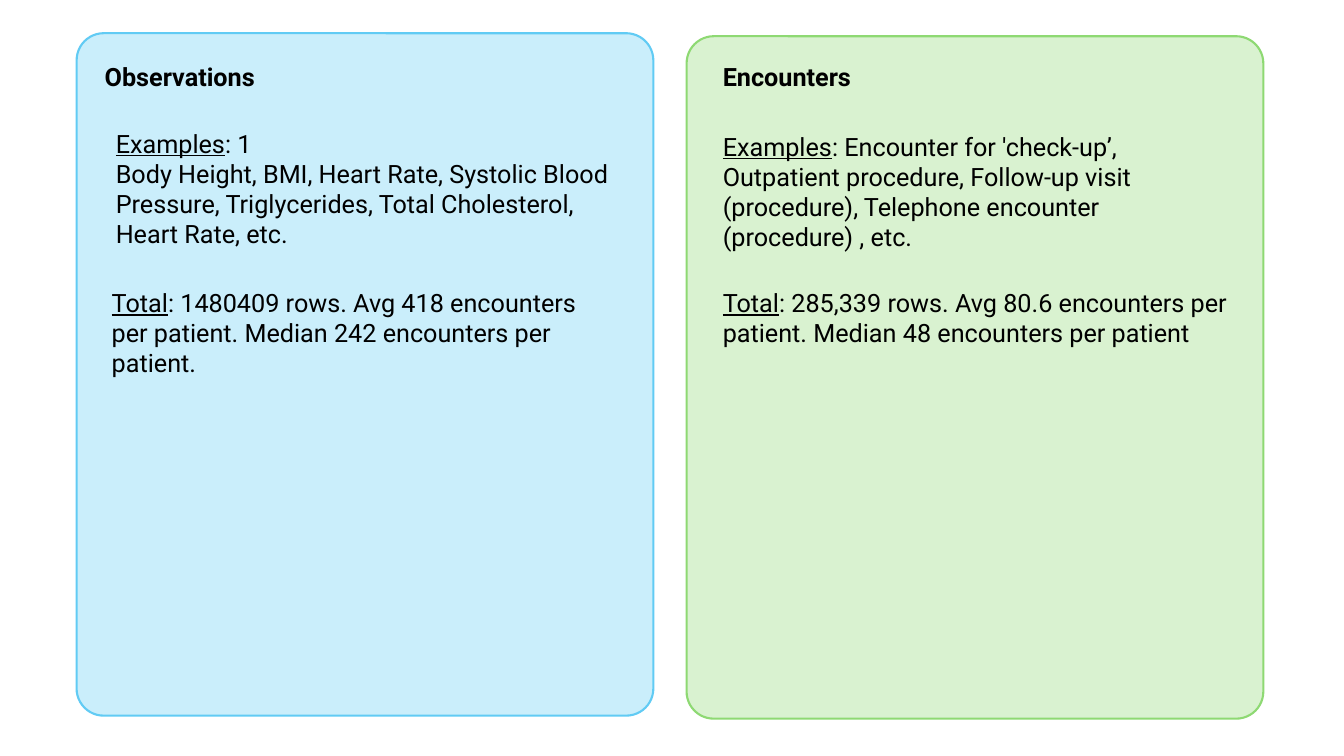
from dataclasses import dataclass

from pptx import Presentation
from pptx.dml.color import RGBColor
from pptx.enum import shapes, text
from pptx.util import Pt

EMU_PER_PX = 9144  # 100 px to the inch


@dataclass(frozen=True)
class Theme:
    font: str = "Roboto"
    body_size: int = 18
    border_width: float = 1.5
    ink: str = "000000"
    blue_fill: str = "CAEEFB"
    blue_line: str = "61CBF4"
    green_fill: str = "D9F2D0"
    green_line: str = "8ED973"


THEME = Theme()
CARD_WIDTH, CARD_HEIGHT, CARD_CORNER = 572, 677, 0.047
BODY_WIDTH = 522
HEADING_TOP, TOTAL_TOP = 56, 280


def px(length):
    return length * EMU_PER_PX


def add_card(slide, left, top, fill, line):
    card = slide.shapes.add_shape(
        shapes.MSO_SHAPE.ROUNDED_RECTANGLE,
        px(left), px(top), px(CARD_WIDTH), px(CARD_HEIGHT))
    card.adjustments[0] = CARD_CORNER
    card.shadow.inherit = False
    card.fill.solid()
    card.fill.fore_color.rgb = RGBColor.from_string(fill)
    card.line.color.rgb = RGBColor.from_string(line)
    card.line.width = Pt(THEME.border_width)


def add_run(paragraph, wording, bold=False, underline=False):
    run = paragraph.add_run()
    run.text = wording
    run.font.name = THEME.font
    run.font.size = Pt(THEME.body_size)
    run.font.color.rgb = RGBColor.from_string(THEME.ink)
    run.font.bold = bold
    run.font.underline = underline


def add_text(slide, wording, left, top, width, height, label="", bold=False, wrap=True):
    """Add a text box, one paragraph a line, with an underlined label before the first."""
    frame = slide.shapes.add_textbox(px(left), px(top), px(width), px(height)).text_frame
    frame.word_wrap = wrap
    frame.auto_size = text.MSO_AUTO_SIZE.SHAPE_TO_FIT_TEXT
    for index, line in enumerate(wording.split("\n")):
        paragraph = frame.add_paragraph() if index else frame.paragraphs[0]
        if label and index == 0:
            add_run(paragraph, label, underline=True)
        add_run(paragraph, line, bold=bold)


def add_heading(slide, wording, left, width):
    add_text(slide, wording, left, HEADING_TOP, width, 40, bold=True, wrap=False)


def add_examples(slide, wording, left, top):
    add_text(slide, wording, left, top, BODY_WIDTH, 131, label="Examples")


def add_total(slide, wording, left):
    add_text(slide, wording, left, TOTAL_TOP, BODY_WIDTH, 71, label="Total")


def main():
    deck = Presentation()
    deck.slide_width, deck.slide_height = px(1333), px(750)
    slide = deck.slides.add_slide(deck.slide_layouts[6])

    add_card(slide, 76, 33, THEME.blue_fill, THEME.blue_line)
    add_heading(slide, "Observations", 94, 174)
    add_examples(
        slide,
        ": 1\nBody Height, BMI, Heart Rate, Systolic Blood Pressure, "
        "Triglycerides, Total Cholesterol, Heart Rate, etc.",
        105, 122)
    add_total(
        slide,
        ": 1480409 rows. Avg 418 encounters per patient. "
        "Median 242 encounters per patient.",
        101)

    add_card(slide, 681, 36, THEME.green_fill, THEME.green_line)
    add_heading(slide, "Encounters", 707, 152)
    add_examples(
        slide,
        ": Encounter for 'check-up’, Outpatient procedure, "
        "Follow-up visit (procedure), Telephone encounter (procedure) , etc.",
        707, 125)
    add_total(
        slide,
        ": 285,339 rows. Avg 80.6 encounters per patient. "
        "Median 48 encounters per patient",
        707)

    deck.save("out.pptx")


if __name__ == "__main__":
    main()
